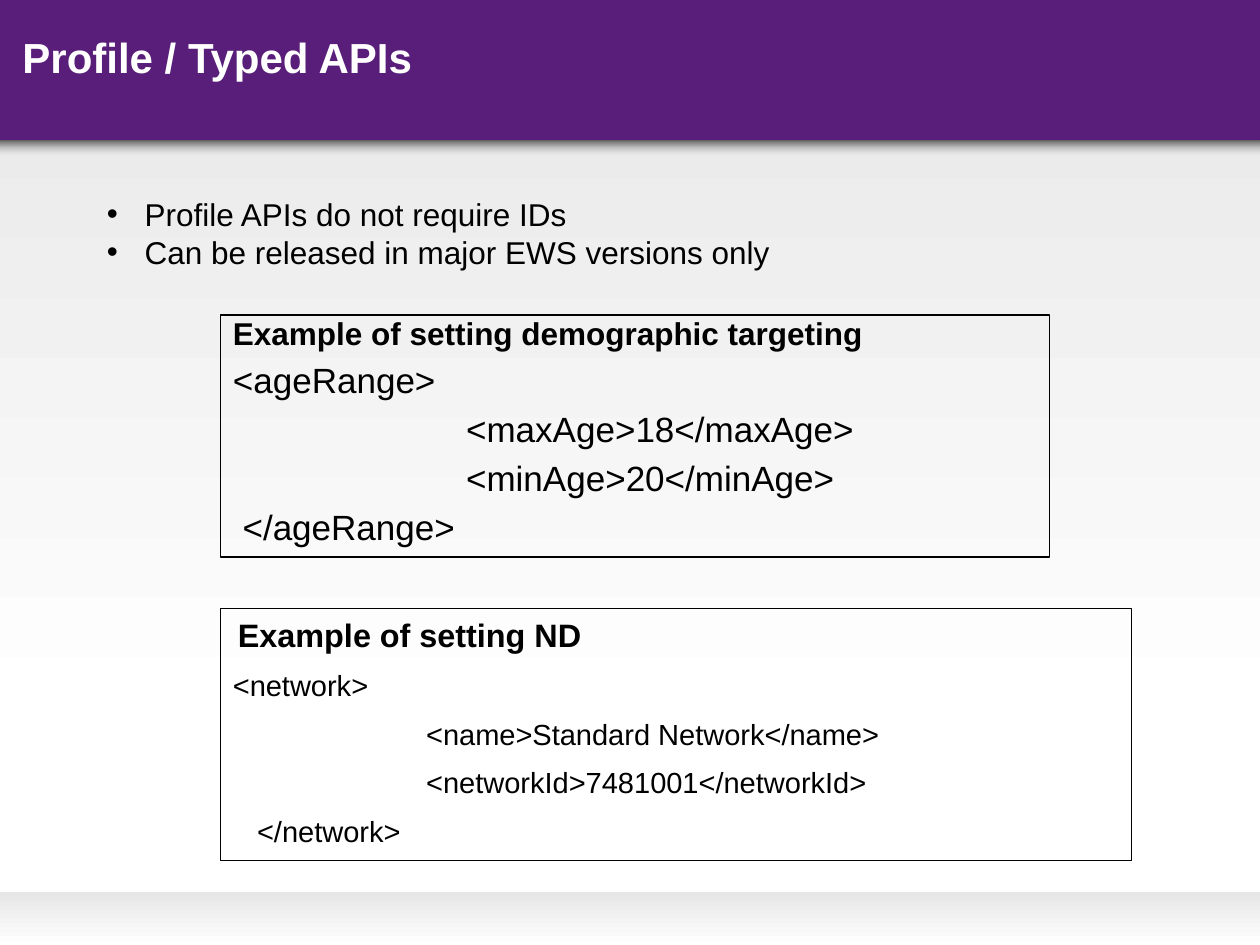
from lxml import etree
from pptx import Presentation
from pptx.dml.color import RGBColor
from pptx.enum.shapes import MSO_SHAPE
from pptx.enum.text import MSO_ANCHOR, PP_ALIGN
from pptx.oxml.ns import qn
from pptx.util import Inches, Pt

RECTANGLE = MSO_SHAPE.RECTANGLE
TOP, BOTTOM = MSO_ANCHOR.TOP, MSO_ANCHOR.BOTTOM
LEFT = PP_ALIGN.LEFT
FONT = "Arial"
COLORS = {
    "purple": "581E79",
    "gray": "E6E6E6",
    "white": "FFFFFF",
    "black": "000000",
}


def color(name):
    return RGBColor.from_string(COLORS[name])


def add_rectangle(slide, left, top, width, height, fill=None, line=None):
    shape = slide.shapes.add_shape(
        RECTANGLE, Inches(left), Inches(top), Inches(width), Inches(height))
    shape.shadow.inherit = False
    if fill:
        shape.fill.solid()
        shape.fill.fore_color.rgb = color(fill)
    else:
        shape.fill.background()
    if line:
        shape.line.color.rgb = color(line)
        shape.line.width = Pt(0.75)
    else:
        shape.line.fill.background()
    return shape


def add_gradient(slide, left, top, width, height, start, end, fade=False):
    """Add a rectangle shaded from top to bottom, optionally fading out."""
    shape = add_rectangle(slide, left, top, width, height)
    shape.fill.gradient()
    shape.fill.gradient_angle = 270
    for stop, name in zip(shape.fill.gradient_stops, (start, end)):
        stop.color.rgb = color(name)
    if fade:
        last_color = list(shape._element.spPr.iter(qn("a:srgbClr")))[-1]
        etree.SubElement(last_color, qn("a:alpha"), val="0")


def add_text_box(slide, left, top, width, height, anchor=TOP):
    shape = slide.shapes.add_textbox(
        Inches(left), Inches(top), Inches(width), Inches(height))
    shape.text_frame.vertical_anchor = anchor
    return shape


def write(shape, text, size, name="black", bold=False, first=False,
          before=0, spacing=1.0, margin=0, indent=0, bullet=None):
    """Write one paragraph into a shape."""
    frame = shape.text_frame
    frame.word_wrap = True
    paragraph = frame.paragraphs[0] if first else frame.add_paragraph()
    paragraph.alignment = LEFT
    paragraph.line_spacing = spacing
    paragraph.space_before = Pt(before)
    properties = paragraph._p.get_or_add_pPr()
    properties.set("marL", str(Inches(margin)))
    properties.set("indent", str(Inches(indent)))
    if bullet:
        etree.SubElement(properties, qn("a:buFont"), typeface=FONT)
        etree.SubElement(properties, qn("a:buChar"), char=bullet)
    run = paragraph.add_run()
    run.text = text
    run.font.name = FONT
    run.font.size = Pt(size)
    run.font.bold = bold
    run.font.color.rgb = color(name)


def add_example(slide, top, width, height, heading, heading_size, code,
                code_size, before, spacing=1.0, heading_margin=0):
    """Add an outlined box with a bold heading above lines of code."""
    box = add_rectangle(slide, 1.75, top, width, height, line="black")
    box.text_frame.vertical_anchor = TOP
    write(box, heading, heading_size, bold=True, first=True,
          spacing=spacing, margin=heading_margin)
    for line in code:
        write(box, line, code_size, before=before, spacing=spacing,
              margin=0.38, indent=-0.38)


def main():
    presentation = Presentation()
    presentation.slide_width = Inches(10)
    presentation.slide_height = Inches(7.5)
    slide = presentation.slides.add_slide(presentation.slide_layouts[6])

    # Background shading, header band and footer
    add_gradient(slide, 0, 0, 10, 5.69, "gray", "white")
    add_gradient(slide, 0, 1.08, 10, 0.17, "black", "white", fade=True)
    add_rectangle(slide, 0, 0, 10, 1.11, fill="purple")
    add_gradient(slide, 0, 7.08, 10, 0.42, "gray", "white")

    # Title, raised one line above the bottom of its box
    title = add_text_box(slide, 0.08, 0.09, 9.75, 0.99, anchor=BOTTOM)
    title.text_frame.margin_bottom = Inches(0.43)
    write(title, "Profile / Typed APIs", 24, "white", bold=True, first=True)

    # Examples
    indent = " " * 24
    add_example(
        slide, 2.5, 6.58, 1.92, "Example of setting demographic targeting", 18,
        ["<ageRange>",
         indent + "<maxAge>18</maxAge>",
         indent + "<minAge>20</minAge>",
         " </ageRange>"],
        20, before=8.8, spacing=0.8)
    add_example(
        slide, 4.83, 7.23, 2, "Example of setting ND", 18.5,
        ["<network>",
         indent + "<name>Standard Network</name>",
         indent + "<networkId>7481001</networkId>",
         "   </network>"],
        16.6, before=7.9, heading_margin=0.04)

    # Key points
    points = add_text_box(slide, 0.75, 1.5, 8.75, 0.7)
    for index, text in enumerate((
            "Profile APIs do not require IDs",
            "Can be released in major EWS versions only")):
        write(points, text, 18, first=index == 0,
              margin=0.3, indent=-0.3, bullet="•")

    presentation.save("out.pptx")


if __name__ == "__main__":
    main()
